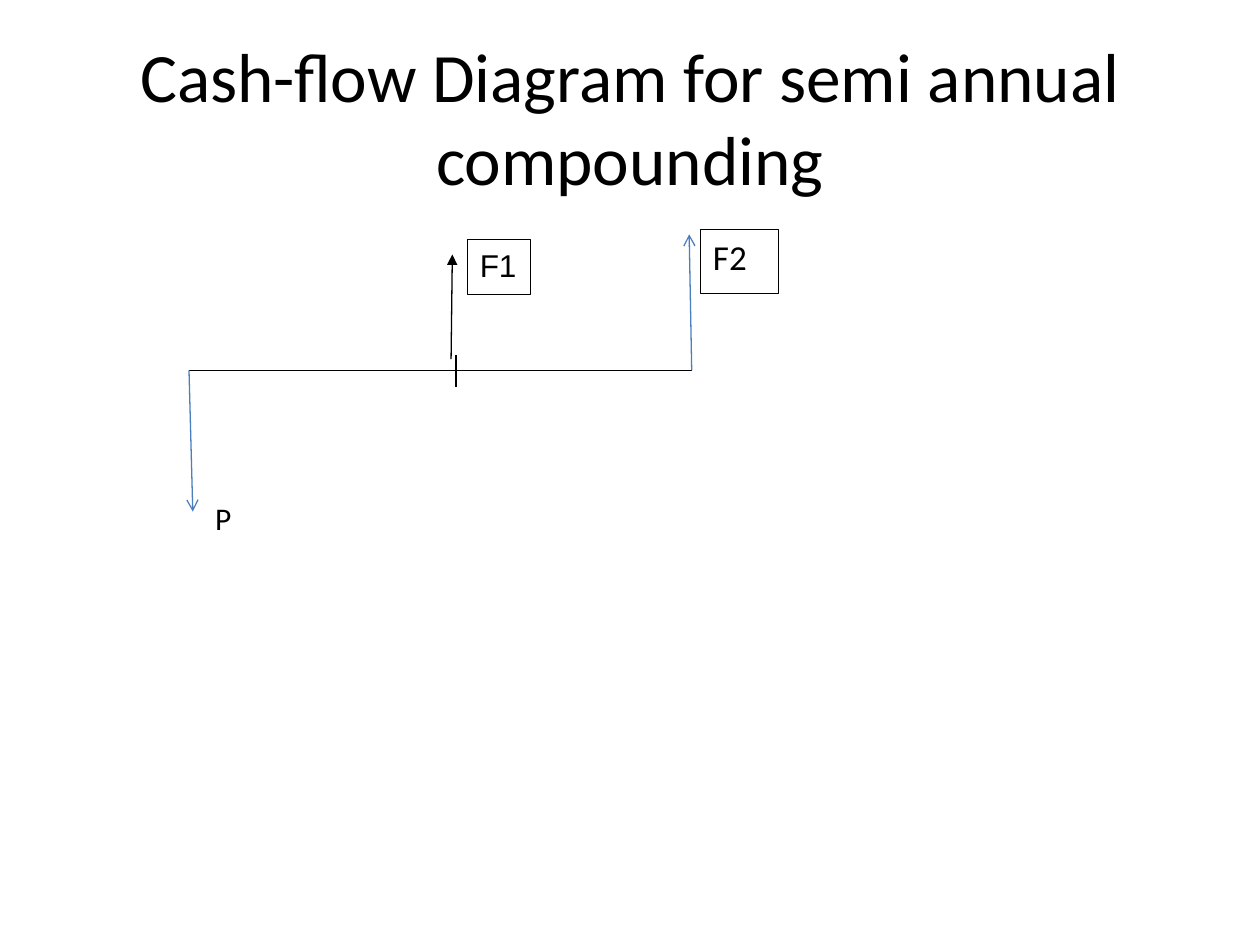
from lxml.etree import SubElement
from pptx import Presentation
from pptx.dml.color import RGBColor
from pptx.enum.shapes import MSO_CONNECTOR as Connector, MSO_SHAPE as Shape
from pptx.enum.text import MSO_ANCHOR as Anchor, MSO_AUTO_SIZE as AutoSize, PP_ALIGN as Align
from pptx.oxml.ns import qn
from pptx.util import Inches, Pt

BLACK, WHITE, BLUE = "000000", "FFFFFF", "4B7EBC"


def color(value):
    return RGBColor.from_string(value)


def place(shape, left, top, width, height):
    shape.left, shape.top = Inches(left), Inches(top)
    shape.width, shape.height = Inches(width), Inches(height)


def write(shape, text, size, font="Calibri", align=Align.LEFT, anchor=Anchor.TOP, after=0):
    frame = shape.text_frame
    frame.word_wrap = True
    frame.vertical_anchor = anchor
    para = frame.paragraphs[0]
    para.alignment = align
    para.space_after = Pt(after)
    span = para.add_run()
    span.text = text
    span.font.size, span.font.name = Pt(size), font
    span.font.color.rgb = color(BLACK)


def add_line(page, start, end, stroke=BLACK, head=None):
    line = page.shapes.add_connector(Connector.STRAIGHT, *map(Inches, start + end))
    line.line.color.rgb = color(stroke)
    line.line.width = Pt(0.75)
    if head:
        SubElement(line.line._get_or_add_ln(), qn("a:tailEnd"), type=head)
    SubElement(line._element.spPr, qn("a:effectLst"))


def add_label(page, box, text, size, font="Calibri"):
    label = page.shapes.add_shape(Shape.RECTANGLE, *map(Inches, box))
    label.shadow.inherit = False
    label.fill.solid()
    label.fill.fore_color.rgb = color(WHITE)
    label.line.color.rgb = color(BLACK)
    label.line.width = Pt(0.75)
    write(label, text, size, font, after=10)


def add_title(page, box):
    title = page.shapes.title
    place(title, *box)
    write(title, "Cash-flow Diagram for semi annual compounding", 39.6,
          align=Align.CENTER, anchor=Anchor.MIDDLE)


def add_cash_flow(page, left, axis, width):
    """Draw the time axis with the payment P below it and receipts F1, F2 above."""
    right, middle = left + width, left + 2.12
    add_label(page, (right + 0.07, axis - 1.12, 0.62, 0.51), "F2", 20)
    add_line(page, (left, axis), (right, axis))
    add_line(page, (middle, axis - 0.12), (middle, axis + 0.13))
    add_line(page, (middle - 0.04, axis - 0.09), (middle - 0.03, axis - 0.92), head="triangle")
    add_label(page, (middle + 0.09, axis - 1.04, 0.5, 0.44), "F1", 18, "Arial")
    add_line(page, (left, axis), (left + 0.03, axis + 1.12), BLUE, "arrow")
    add_line(page, (right, axis), (right - 0.02, axis - 1.08), BLUE, "arrow")
    payment = page.shapes.add_textbox(*map(Inches, (left + 0.11, axis + 0.97, 0.47, 0.4)))
    write(payment, "P", 18)
    payment.text_frame.auto_size = AutoSize.SHAPE_TO_FIT_TEXT


def main():
    deck = Presentation()
    deck.slide_width, deck.slide_height = Inches(10), Inches(7.5)
    page = deck.slides.add_slide(deck.slide_layouts[5])
    add_title(page, (0.5, 0.3, 9, 1.25))
    add_cash_flow(page, left=1.5, axis=2.94, width=3.99)
    deck.save("out.pptx")


if __name__ == "__main__":
    main()
